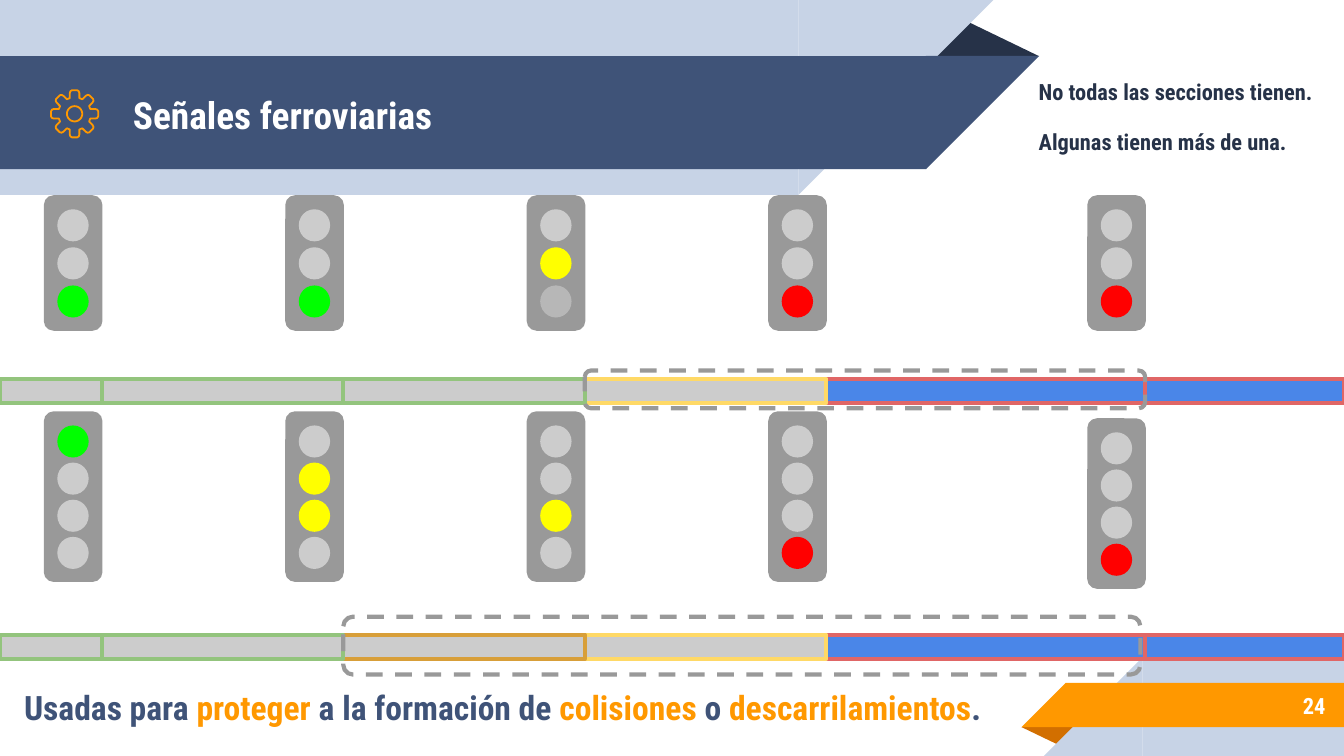
import math
from dataclasses import dataclass

import pptx
import pptx.dml.color
import pptx.enum.dml
import pptx.enum.shapes
import pptx.enum.text
import pptx.util

Pt = pptx.util.Pt
KIND = pptx.enum.shapes.MSO_SHAPE
ALIGN = pptx.enum.text.PP_ALIGN

NAVY, INK, MIST, ORANGE = "3F5378", "263248", "C7D3E6", "FF9800"
GREY, OFF, WHITE = "999999", "CCCCCC", "FFFFFF"
LAMPS = {"-": OFF, "d": "B7B7B7", "G": "00FF00", "Y": "FFFF00", "R": "FF0000"}
FREE, CAUTION, WARNING, OCCUPIED = "93C47D", "D89F39", "FFD966", "E06666"

# Section limits along the track; a signal stands just before each inner limit
LIMITS = [0] + [54.6 + 129.35 * i for i in range(4)] + [613.6, 720]
MAST_WIDTH = 31.4


@dataclass
class Panel:
    kind: int
    left: float
    top: float
    width: float
    height: float
    fill: str
    rotation: float = 0
    mirrored: bool = False
    adjustment: float | None = None


@dataclass
class Signal:
    limit: int
    top: float
    lamps: str


@dataclass
class Line:
    top: float
    states: list[str]
    mast_height: float
    lamp_pitch: float
    signals: list[Signal]


@dataclass
class Caption:
    left: float
    top: float
    width: float
    height: float
    size: float
    paragraphs: list[list[tuple[str, str]]]
    format: dict


PANELS = [
    # Title ribbon
    Panel(KIND.ISOSCELES_TRIANGLE, 495.4, 10.1, 61.2, 20, INK, adjustment=0.324),
    Panel(KIND.RECTANGLE, 0, 0, 427.7, 104.4, MIST, 180, True),
    Panel(KIND.RIGHT_TRIANGLE, 427.7, 0, 104.4, 104.4, MIST, 180, True),
    Panel(KIND.RECTANGLE, 0, 30, 496.1, 60.6, NAVY, 180, True),
    Panel(KIND.RIGHT_TRIANGLE, 496.1, 30, 60.6, 60.6, NAVY, 180, True),
    # Page number ribbon
    Panel(KIND.ISOSCELES_TRIANGLE, 547.2, 389.5, 31, 10.1, "D26F00", 180, adjustment=0.324),
    Panel(KIND.RECTANGLE, 612, 352.3, 108, 52.7, MIST, mirrored=True),
    Panel(KIND.RIGHT_TRIANGLE, 559.3, 352.3, 52.7, 52.7, MIST, mirrored=True),
    Panel(KIND.RECTANGLE, 571, 365.8, 149.6, 23.8, ORANGE, mirrored=True),
    Panel(KIND.RIGHT_TRIANGLE, 547.2, 365.8, 23.8, 23.8, ORANGE, mirrored=True),
]

LINES = [
    Line(203, [FREE, FREE, FREE, WARNING, OCCUPIED, OCCUPIED], 72.6, 20.4,
         [Signal(i + 1, 104.6, lamps)
          for i, lamps in enumerate(["--G", "--G", "-Yd", "--R", "--R"])]),
    Line(340, [FREE, FREE, CAUTION, WARNING, OCCUPIED, OCCUPIED], 91.4, 19.9,
         [Signal(i + 1, 224.1 if i == 4 else 220.4, lamps)
          for i, lamps in enumerate(["G---", "-YY-", "--Y-", "---R", "---R"])]),
]

# Protected stretches: left, top, width, height
PROTECTED = [(LIMITS[2], 330.4, 427, 31), (LIMITS[3], 198.5, 300.2, 20.2)]

CAPTIONS = [
    Caption(64.1, 31, 432.7, 60.5, 20, [[("Señales ferroviarias", WHITE)]], {}),
    Caption(599.8, 365.3, 117.4, 25, 12, [[("24", WHITE)]], {"alignment": ALIGN.RIGHT}),
    Caption(5.8, 355.3, 548.6, 43.9, 18,
            [[("Usadas para ", NAVY), ("proteger", ORANGE),
              (" a la formación de ", NAVY), ("colisiones", ORANGE),
              (" o ", NAVY), ("descarrilamientos", ORANGE), (".", NAVY)]],
            {"line_spacing": 1.15}),
    Caption(549.4, 27.4, 170.6, 67.7, 12,
            [[("No todas las secciones tienen.", INK)],
             [("Algunas tienen más de una.", INK)]],
            {"line_spacing": 1.15, "space_before": Pt(10)}),
]


def colour(hex_value: str) -> pptx.dml.color.RGBColor:
    return pptx.dml.color.RGBColor.from_string(hex_value)


def paint(shape, fill: str | None, line: str | None = None, weight: float = 2.25) -> None:
    shape.shadow.inherit = False
    if fill:
        shape.fill.solid()
        shape.fill.fore_color.rgb = colour(fill)
    else:
        shape.fill.background()
    if line:
        shape.line.color.rgb = colour(line)
        shape.line.width = Pt(weight)
    else:
        shape.line.fill.background()


def add_shape(slide, kind: int, left: float, top: float, width: float, height: float,
              fill: str | None, line: str | None = None):
    shape = slide.shapes.add_shape(kind, Pt(left), Pt(top), Pt(width), Pt(height))
    paint(shape, fill, line)
    return shape


def draw_panel(slide, panel: Panel) -> None:
    shape = add_shape(slide, panel.kind, panel.left, panel.top,
                      panel.width, panel.height, panel.fill)
    shape.rotation = panel.rotation
    if panel.mirrored:
        shape.element.spPr.xfrm.set("flipH", "1")
    if panel.adjustment is not None:
        shape.adjustments[0] = panel.adjustment


def draw_gear(slide, x: float, y: float) -> None:
    def ring(points: list[tuple[float, float]]) -> list[tuple[int, int]]:
        return [(Pt(x + r * math.sin(math.radians(a))),
                 Pt(y - r * math.cos(math.radians(a)))) for r, a in points]

    # One tooth as (radius, angle), repeated eight times
    tooth = [(8.8, -17), (11.4, -13), (12.3, -10.5), (12.7, -6.5),
             (12.7, 6.5), (12.3, 10.5), (11.4, 13), (8.8, 17)]
    rim = ring([(r, a + 45 * i) for i in range(8) for r, a in tooth])
    hub = ring([(4.1, 10 * i) for i in range(36)])
    builder = slide.shapes.build_freeform(*rim[0], scale=1.0)
    builder.add_line_segments(rim[1:], close=True)
    builder.move_to(*hub[0])
    builder.add_line_segments(hub[1:], close=True)
    paint(builder.convert_to_shape(), None, ORANGE, 0.96)


def draw_line(slide, line: Line) -> None:
    for signal in line.signals:
        left = LIMITS[signal.limit] - MAST_WIDTH + 0.3
        add_shape(slide, KIND.ROUNDED_RECTANGLE, left, signal.top,
                  MAST_WIDTH, line.mast_height, GREY)
        for i, lamp in enumerate(signal.lamps):
            add_shape(slide, KIND.OVAL, left + 7.2, signal.top + 7.5 + i * line.lamp_pitch,
                      16.8, 17.2, LAMPS[lamp])
    # Sections run from right to left so each outline covers the next limit
    for start, end, state in reversed(list(zip(LIMITS, LIMITS[1:], line.states))):
        add_shape(slide, KIND.RECTANGLE, start, line.top, end - start, 13,
                  "4A86E8" if state == OCCUPIED else OFF, state)


def draw_caption(slide, caption: Caption) -> None:
    box = slide.shapes.add_textbox(Pt(caption.left), Pt(caption.top),
                                   Pt(caption.width), Pt(caption.height))
    frame = box.text_frame
    frame_format = {"word_wrap": True, "vertical_anchor": pptx.enum.text.MSO_ANCHOR.MIDDLE}
    frame_format |= {f"margin_{side}": Pt(7.2) for side in ("left", "top", "right", "bottom")}
    for name, value in frame_format.items():
        setattr(frame, name, value)
    for i, runs in enumerate(caption.paragraphs):
        paragraph = frame.add_paragraph() if i else frame.paragraphs[0]
        for name, value in caption.format.items():
            if i or name != "space_before":
                setattr(paragraph, name, value)
        for words, ink in runs:
            run = paragraph.add_run()
            run.text = words
            font_format = {"name": "Roboto Condensed", "size": Pt(caption.size), "bold": True}
            for name, value in font_format.items():
                setattr(run.font, name, value)
            run.font.color.rgb = colour(ink)


def main() -> None:
    deck = pptx.Presentation()
    deck.slide_width, deck.slide_height = Pt(720), Pt(405)
    slide = deck.slides.add_slide(deck.slide_layouts[6])

    # Ribbons and icon
    for panel in PANELS:
        draw_panel(slide, panel)
    draw_gear(slide, 40, 61)

    # Tracks with their signals
    for line in LINES:
        draw_line(slide, line)
    for stretch in PROTECTED:
        frame = add_shape(slide, KIND.ROUNDED_RECTANGLE, *stretch, None, GREY)
        frame.line.dash_style = pptx.enum.dml.MSO_LINE.DASH

    # Text
    for caption in CAPTIONS:
        draw_caption(slide, caption)
    deck.save("out.pptx")


if __name__ == "__main__":
    main()
